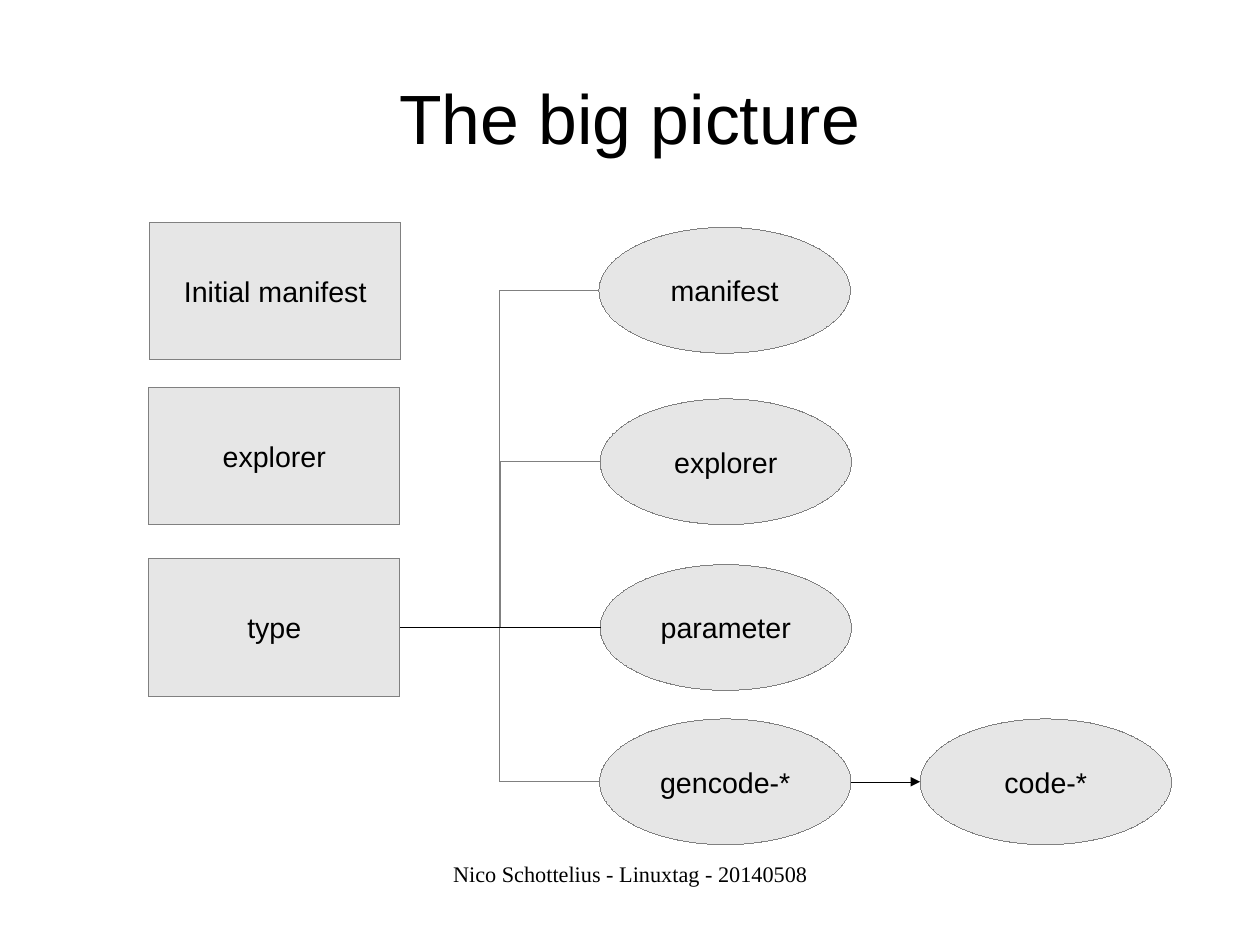
from dataclasses import dataclass

from lxml import etree
from pptx import Presentation
from pptx import util as u
from pptx.dml.color import RGBColor
from pptx.enum import shapes, text
from pptx.oxml import ns

BLACK = RGBColor(0x00, 0x00, 0x00)
GREY = RGBColor(0x80, 0x80, 0x80)
PALE = RGBColor(0xE6, 0xE6, 0xE6)
RECT = shapes.MSO_SHAPE.RECTANGLE
OVAL = shapes.MSO_SHAPE.OVAL
STRAIGHT = shapes.MSO_CONNECTOR.STRAIGHT
ELBOW = shapes.MSO_CONNECTOR.ELBOW
HEIGHTS = {RECT: 86.4, OVAL: 79.2}
NODE_WIDTH = 158.4


@dataclass
class Node:
    label: str
    kind: shapes.MSO_SHAPE
    left: float
    top: float

    @property
    def right(self) -> float:
        return self.left + NODE_WIDTH

    @property
    def middle(self) -> float:
        return self.top + HEIGHTS[self.kind] / 2


@dataclass
class Caption:
    words: str
    left: float
    top: float
    width: float
    height: float
    font: str
    size: float
    anchor: text.MSO_ANCHOR


TYPE = Node("type", RECT, 93.6, 352.08)
MANIFEST = Node("manifest", OVAL, 377.28, 143.28)
EXPLORER = Node("explorer", OVAL, 378, 251.28)
PARAMETER = Node("parameter", OVAL, 378, 355.68)
GENCODE = Node("gencode-*", OVAL, 377.7, 452.88)
CODE = Node("code-*", OVAL, 579.6, 452.88)
NODES = [
    Node("Initial manifest", RECT, 94.2, 140.4),
    Node("explorer", RECT, 93.6, 244.08),
    TYPE, MANIFEST, EXPLORER, PARAMETER, GENCODE, CODE,
]
CAPTIONS = [
    Caption("The big picture", 39.6, 23.76, 714.24, 99.36,
            "Arial", 43.9, text.MSO_ANCHOR.MIDDLE),
    Caption("Nico Schottelius - Linuxtag - 20140508", 271.44, 542.16, 251.28, 41.04,
            "Times New Roman", 14, text.MSO_ANCHOR.TOP),
]


def write(frame, words: str, font: str, size: float) -> None:
    paragraph = frame.paragraphs[0]
    paragraph.alignment = text.PP_ALIGN.CENTER
    run = paragraph.add_run()
    run.text = words
    run.font.name = font
    run.font.size = u.Pt(size)
    run.font.color.rgb = BLACK


def set_hairline(line, color: RGBColor):
    line.color.rgb = color
    outline = line._get_or_add_ln()
    outline.set("w", "0")
    return outline


def draw_caption(slide, caption: Caption) -> None:
    box = slide.shapes.add_textbox(u.Pt(caption.left), u.Pt(caption.top),
                                   u.Pt(caption.width), u.Pt(caption.height))
    frame = box.text_frame
    frame.word_wrap = True
    frame.vertical_anchor = caption.anchor
    frame.margin_left = frame.margin_right = frame.margin_top = frame.margin_bottom = 0
    write(frame, caption.words, caption.font, caption.size)


def draw_node(slide, node: Node):
    shape = slide.shapes.add_shape(node.kind, u.Pt(node.left), u.Pt(node.top),
                                   u.Pt(NODE_WIDTH), u.Pt(HEIGHTS[node.kind]))
    shape.shadow.inherit = False
    shape.fill.solid()
    shape.fill.fore_color.rgb = PALE
    set_hairline(shape.line, GREY)
    shape.text_frame.word_wrap = False
    shape.text_frame.vertical_anchor = text.MSO_ANCHOR.MIDDLE
    write(shape.text_frame, node.label, "Arial", 18)
    return shape


def draw_link(slide, source: Node, target: Node, kind: shapes.MSO_CONNECTOR,
              color: RGBColor, arrow: bool = False):
    link = slide.shapes.add_connector(kind, u.Pt(source.right), u.Pt(source.middle),
                                      u.Pt(target.left), u.Pt(target.middle))
    outline = set_hairline(link.line, color)
    if arrow:
        etree.SubElement(outline, ns.qn("a:tailEnd"), type="triangle")
    etree.SubElement(link._element.spPr, ns.qn("a:effectLst"))
    return link


def main() -> None:
    deck = Presentation()
    deck.slide_width = u.Pt(793.7)
    deck.slide_height = u.Pt(595.28)
    slide = deck.slides.add_slide(deck.slide_layouts[6])
    for caption in CAPTIONS:
        draw_caption(slide, caption)
    drawn = [draw_node(slide, node) for node in NODES]
    for part in (MANIFEST, EXPLORER, GENCODE):
        draw_link(slide, TYPE, part, ELBOW, GREY)
    parameter_link = draw_link(slide, TYPE, PARAMETER, STRAIGHT, BLACK)
    parameter_link.begin_connect(drawn[NODES.index(TYPE)], 3)
    draw_link(slide, GENCODE, CODE, STRAIGHT, BLACK, arrow=True)
    deck.save("out.pptx")


if __name__ == "__main__":
    main()
